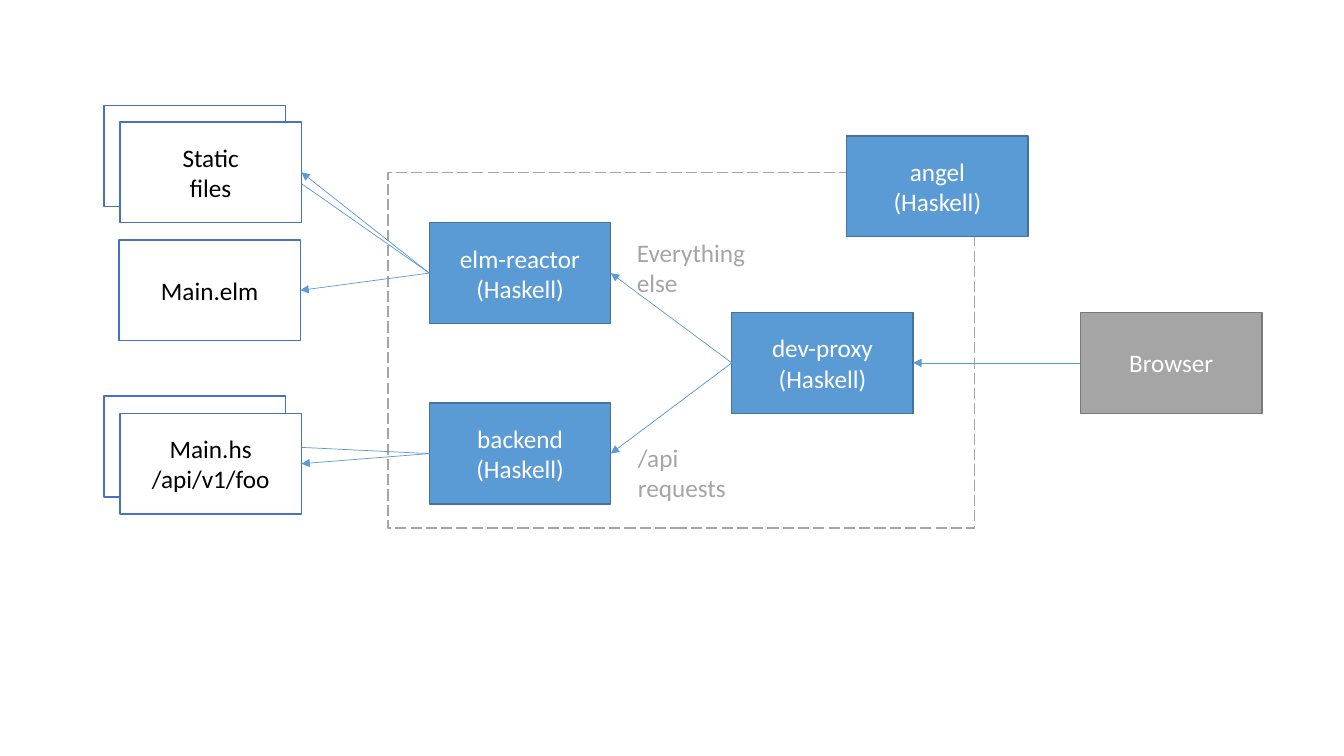
from dataclasses import dataclass

from lxml.etree import SubElement
from pptx import Presentation
from pptx.dml.color import RGBColor
from pptx.enum.dml import MSO_LINE
from pptx.enum.shapes import MSO_CONNECTOR, MSO_SHAPE
from pptx.enum.text import MSO_ANCHOR, MSO_AUTO_SIZE, PP_ALIGN
from pptx.oxml.ns import qn
from pptx.shapes.autoshape import Shape
from pptx.shapes.connector import Connector
from pptx.slide import Slide
from pptx.text.text import TextFrame
from pptx.util import Pt

COLORS = {
    "white": "FFFFFF",
    "black": "000000",
    "service": "5B9BD5",
    "service_edge": "43739E",
    "file_edge": "4472C4",
    "gray": "A5A5A5",
    "gray_edge": "7A7A7A",
}
BOX_W, BOX_H = 129.6, 72
LEFT_SITE, RIGHT_SITE = 1, 3


@dataclass(frozen=True)
class Style:
    fill: str
    edge: str
    text: str


SERVICE = Style("service", "service_edge", "white")
FILE = Style("white", "file_edge", "black")
CLIENT = Style("gray", "gray_edge", "white")
FRAME = Style("white", "gray", "black")


@dataclass(frozen=True)
class Box:
    x: float
    y: float
    style: Style
    text: str = ""
    w: float = BOX_W
    h: float = BOX_H

    @property
    def right(self) -> float:
        return self.x + self.w

    @property
    def middle(self) -> float:
        return self.y + self.h / 2


@dataclass(frozen=True)
class Label:
    x: float
    y: float
    w: float
    text: str


ENVIRONMENT = Box(277.2, 123.1, FRAME, w=419, h=254.2)
STATIC_BACK = Box(74.2, 75.6, FILE)
API_BACK = Box(74.2, 283, FILE)
BOXES = {
    "reactor": Box(306.7, 159.1, SERVICE, "elm-reactor\n(Haskell)"),
    "backend": Box(306.7, 288, SERVICE, "backend\v(Haskell)"),
    "proxy": Box(522.7, 223.2, SERVICE, "dev-proxy\v(Haskell)"),
    "main_elm": Box(85, 171.4, FILE, "Main.elm"),
    "static": Box(85.7, 87.1, FILE, "Static\nfiles"),
    "main_hs": Box(85.7, 295.2, FILE, "Main.hs\n/api/v1/foo"),
    "angel": Box(604.8, 97.2, SERVICE, "angel\n(Haskell)"),
    "browser": Box(771.8, 223.2, CLIENT, "Browser"),
}
REQUESTS = [
    ("browser", "proxy"),
    ("proxy", "reactor"),
    ("proxy", "backend"),
    ("backend", "main_hs"),
    ("reactor", "main_elm"),
    ("reactor", "static"),
]
LABELS = [
    Label(447.8, 165.6, 92.9, "Everything\nelse"),
    Label(448.6, 312.5, 77.8, "/api\nrequests"),
]


def rgb(name: str) -> RGBColor:
    return RGBColor.from_string(COLORS[name])


def write_text(tf: TextFrame, text: str, color: str, align: PP_ALIGN) -> None:
    tf.text = text
    for p in tf.paragraphs:
        p.alignment = align
        p.font.name = "Calibri"
        p.font.size = Pt(18)
        p.font.color.rgb = rgb(color)


def add_box(s: Slide, box: Box) -> Shape:
    sp = s.shapes.add_shape(
        MSO_SHAPE.RECTANGLE, Pt(box.x), Pt(box.y), Pt(box.w), Pt(box.h)
    )
    sp.shadow.inherit = False
    sp.fill.solid()
    sp.fill.fore_color.rgb = rgb(box.style.fill)
    sp.line.color.rgb = rgb(box.style.edge)
    sp.line.width = Pt(1)
    if box.text:
        sp.text_frame.vertical_anchor = MSO_ANCHOR.MIDDLE
        write_text(sp.text_frame, box.text, box.style.text, PP_ALIGN.CENTER)
    return sp


def add_arrow(s: Slide, x1: float, y1: float, x2: float, y2: float) -> Connector:
    cxn = s.shapes.add_connector(
        MSO_CONNECTOR.STRAIGHT, Pt(x1), Pt(y1), Pt(x2), Pt(y2)
    )
    cxn.line.color.rgb = rgb("service")
    cxn.line.width = Pt(0.5)
    SubElement(cxn.line._get_or_add_ln(), qn("a:tailEnd"), type="triangle")
    SubElement(cxn._element.spPr, qn("a:effectLst"))
    return cxn


def add_label(s: Slide, label: Label) -> None:
    tb = s.shapes.add_textbox(Pt(label.x), Pt(label.y), Pt(label.w), Pt(51.1))
    tf = tb.text_frame
    tf.word_wrap = False
    tf.auto_size = MSO_AUTO_SIZE.SHAPE_TO_FIT_TEXT
    write_text(tf, label.text, "gray", PP_ALIGN.LEFT)


def main() -> None:
    prs = Presentation()
    prs.slide_width, prs.slide_height = Pt(960), Pt(540)
    s = prs.slides.add_slide(prs.slide_layouts[6])

    add_box(s, ENVIRONMENT).line.dash_style = MSO_LINE.LONG_DASH

    # Arrows to the rear files run beneath the boxes in front.
    for source, back, y in (
        (BOXES["reactor"], STATIC_BACK, BOXES["static"].middle),
        (BOXES["backend"], API_BACK, API_BACK.middle),
    ):
        add_arrow(s, source.x, source.middle, back.right, y)
        add_box(s, back)

    shapes = {name: add_box(s, box) for name, box in BOXES.items()}
    for source, target in REQUESTS:
        a, b = BOXES[source], BOXES[target]
        cxn = add_arrow(s, a.x, a.middle, b.right, b.middle)
        cxn.begin_connect(shapes[source], LEFT_SITE)
        cxn.end_connect(shapes[target], RIGHT_SITE)

    for label in LABELS:
        add_label(s, label)
    prs.save("out.pptx")


if __name__ == "__main__":
    main()
